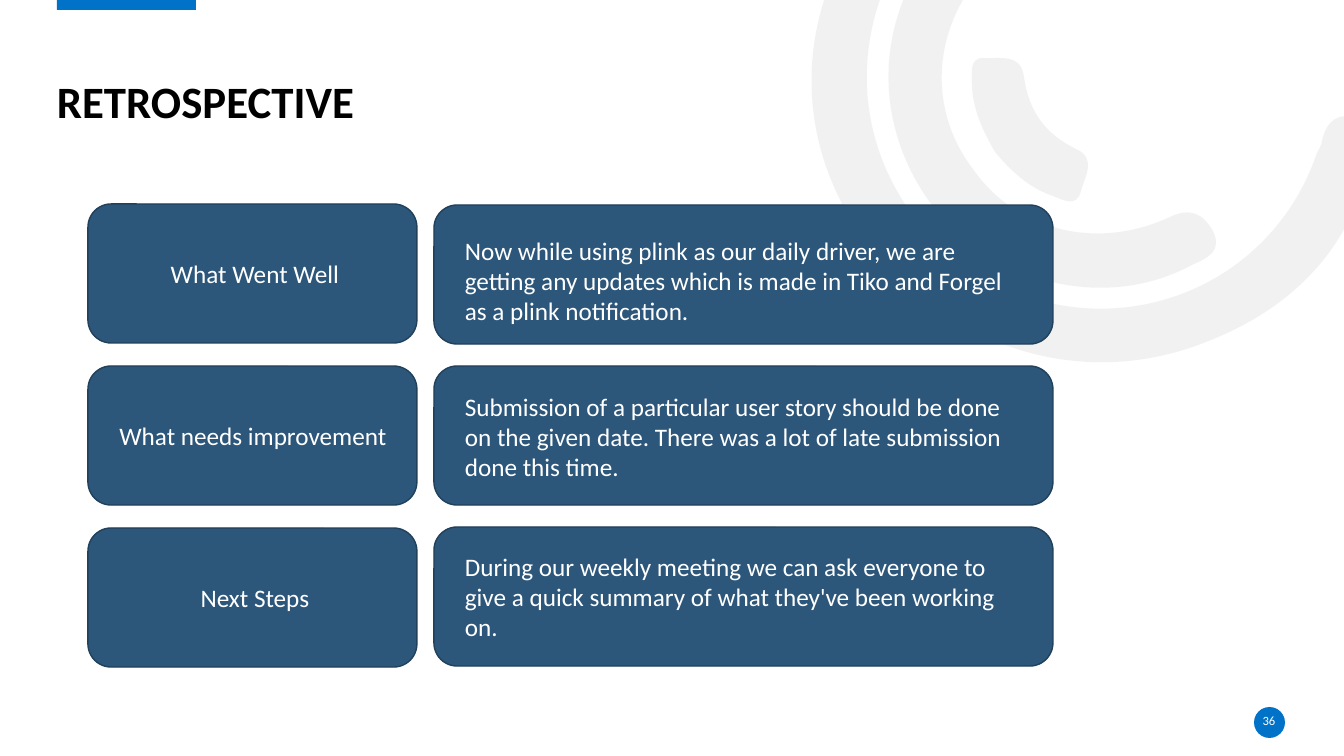
import lxml.etree
import pptx
import pptx.dml.color
import pptx.enum.shapes
import pptx.enum.text
import pptx.oxml.ns
import pptx.util

PX = 914400 / 100.8
FONT = "Calibri"
HUES = {
    "white": "FFFFFF",
    "black": "000000",
    "accent": "0072C7",
    "card": "2C567A",
    "edge": "21405A",
    "swirl": "E7E6E6",
}
KIND = pptx.enum.shapes.MSO_SHAPE
ALIGN = pptx.enum.text.PP_ALIGN
ANCHOR = pptx.enum.text.MSO_ANCHOR
FIT = pptx.enum.text.MSO_AUTO_SIZE

SWIRL = [
    [(858, 231),
     (805, 150), (793, 50), (845, -50),
     (896, -153), (984, -205), (1099, -209),
     (1114, -209), (1130, -212), (1140, -197),
     (1153, -176), (1136, -155), (1107, -155),
     (975, -155), (872, -59), (867, 69),
     (863, 182), (943, 283), (1054, 304),
     (1169, 327), (1280, 263), (1317, 153),
     (1319, 149), (1322, 145), (1322, 141),
     (1327, 120), (1338, 112), (1360, 118),
     (1384, 125), (1378, 142), (1372, 157),
     (1351, 247), (1295, 309), (1201, 344),
     (1079, 390), (943, 348), (858, 231)],
    [(929, 201),
     (869, 116), (876, 7), (948, -69),
     (959, -80), (970, -96), (988, -79),
     (1003, -65), (1005, -50), (987, -32),
     (932, 26), (927, 109), (973, 169),
     (1016, 231), (1097, 251), (1170, 217),
     (1191, 207), (1203, 214), (1213, 231),
     (1223, 252), (1207, 258), (1192, 265),
     (1105, 312), (991, 284), (929, 201)],
    [(995, 152),
     (983, 131), (972, 108), (972, 83),
     (972, 74), (969, 57), (984, 58),
     (1000, 59), (1021, 53), (1024, 77),
     (1029, 111), (1044, 133), (1076, 149),
     (1097, 158), (1085, 177), (1081, 191),
     (1077, 208), (1063, 200), (1053, 196),
     (1029, 188), (1011, 171), (995, 152)],
]

ROWS = [
    ("What Went Well", 108, 230,
     "Now while using plink as our daily driver, we are getting any updates "
     "which is made in Tiko and Forgel as a plink notification."),
    ("What needs improvement", 106, 386,
     "Submission of a particular user story should be done on the given date. "
     "There was a lot of late submission done this time."),
    ("Next Steps", 108, 546,
     "During our weekly meeting we can ask everyone to give a quick summary "
     "of what they've been working on."),
]


def emu(px):
    return round(px * PX)


def rgb(name):
    return pptx.dml.color.RGBColor.from_string(HUES[name])


def tag(name):
    return pptx.oxml.ns.qn(name)


def paint(shape, fill, line=None):
    shape.shadow.inherit = False
    shape.fill.solid()
    shape.fill.fore_color.rgb = rgb(fill)
    if line:
        shape.line.color.rgb = rgb(line)
        shape.line.width = pptx.util.Pt(1)
    else:
        shape.line.fill.background()


def add_box(slide, kind, area, fill, line=None):
    shape = slide.shapes.add_shape(kind, *map(emu, area))
    paint(shape, fill, line)


def bend(shape):
    lines = list(shape._element.iter(tag("a:lnTo")))
    for i in range(0, len(lines), 3):
        arc = lxml.etree.Element(tag("a:cubicBezTo"))
        lines[i].addprevious(arc)
        for line in lines[i:i + 3]:
            arc.append(line[0])
            line.getparent().remove(line)


def add_swirl(slide, dots):
    pen = slide.shapes.build_freeform(*dots[0], scale=PX)
    pen.add_line_segments(dots[1:], close=True)
    shape = pen.convert_to_shape()
    bend(shape)
    paint(shape, "swirl")
    tint = next(shape._element.iter(tag("a:srgbClr")))
    lxml.etree.SubElement(tint, tag("a:alpha"), val="53000")


def add_text(slide, text, area, size=18, hue="white", bold=False,
             align=ALIGN.LEFT, anchor=ANCHOR.TOP, inset=True, grow=False,
             lead=None, after=None):
    box = slide.shapes.add_textbox(*map(emu, area))
    frame = box.text_frame
    frame.word_wrap = True
    frame.auto_size = FIT.SHAPE_TO_FIT_TEXT if grow else FIT.NONE
    frame.vertical_anchor = anchor
    if not inset:
        frame.margin_left = frame.margin_right = 0
        frame.margin_top = frame.margin_bottom = 0
    para = frame.paragraphs[0]
    para.alignment = align
    if lead:
        para.line_spacing = lead
    if after:
        para.space_after = pptx.util.Pt(after)
    run = para.add_run()
    run.text = text
    run.font.name = FONT
    run.font.size = pptx.util.Pt(size)
    run.font.bold = bold
    run.font.color.rgb = rgb(hue)


def add_row(slide, i, label, left, top, body):
    add_box(slide, KIND.ROUNDED_RECTANGLE, (88, 204 + 162 * i, 329, 139),
            "card", "edge")
    add_text(slide, label, (left, 253 + 162 * i, 294, 40),
             align=ALIGN.CENTER, grow=True)
    add_box(slide, KIND.ROUNDED_RECTANGLE, (434, 205 + 161 * i, 619, 139),
            "card", "edge")
    add_text(slide, body, (455, top, 579, 102), grow=True)


def main():
    deck = pptx.Presentation()
    deck.slide_width = emu(1344)
    deck.slide_height = emu(756)
    slide = deck.slides.add_slide(deck.slide_layouts[6])
    for dots in SWIRL:
        add_swirl(slide, dots)
    add_box(slide, KIND.RECTANGLE, (57, -2, 139, 12), "accent")
    add_box(slide, KIND.OVAL, (1254, 707, 31, 31), "accent")
    add_text(slide, "RETROSPECTIVE", (57, 26, 1229, 102), size=32,
             hue="black", bold=True, anchor=ANCHOR.BOTTOM, inset=False,
             lead=0.9)
    add_text(slide, "36", (1253, 711, 32, 20), size=9, align=ALIGN.CENTER,
             anchor=ANCHOR.MIDDLE, inset=False, after=6)
    for i, row in enumerate(ROWS):
        add_row(slide, i, *row)
    deck.save("out.pptx")


if __name__ == "__main__":
    main()
